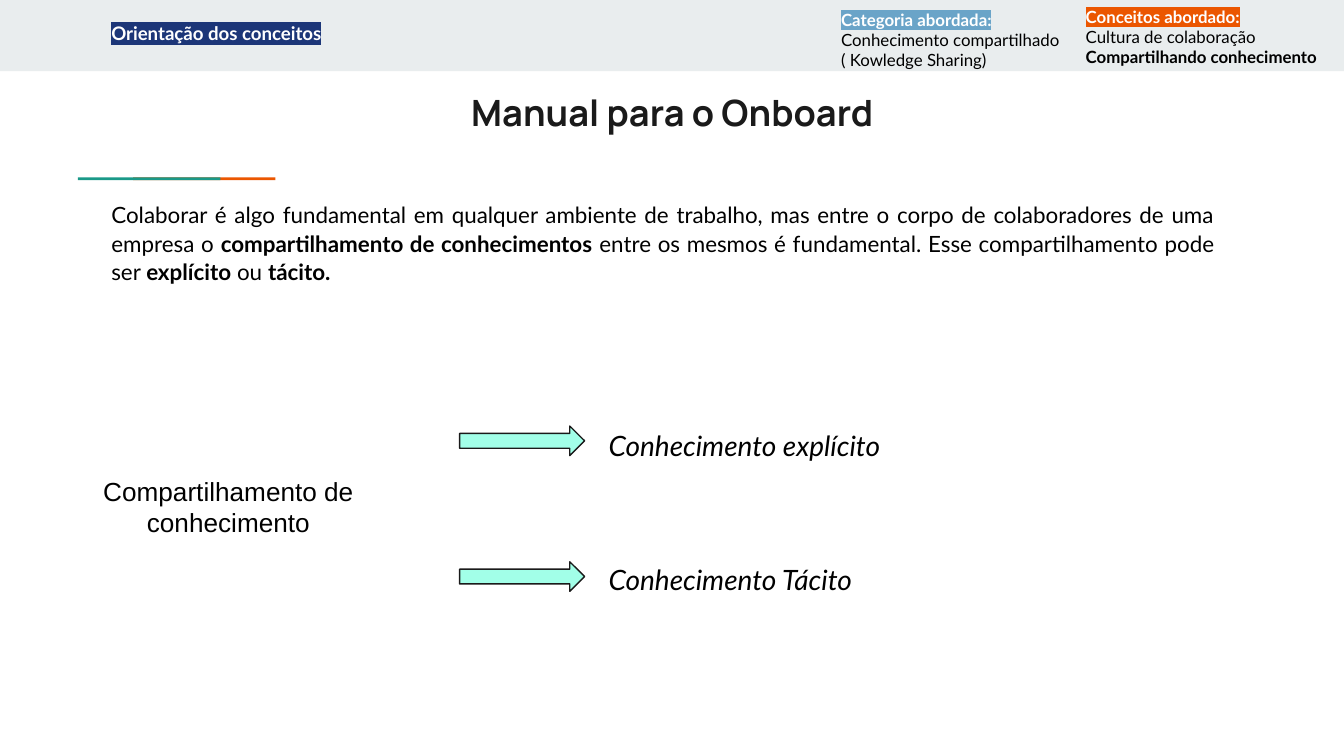
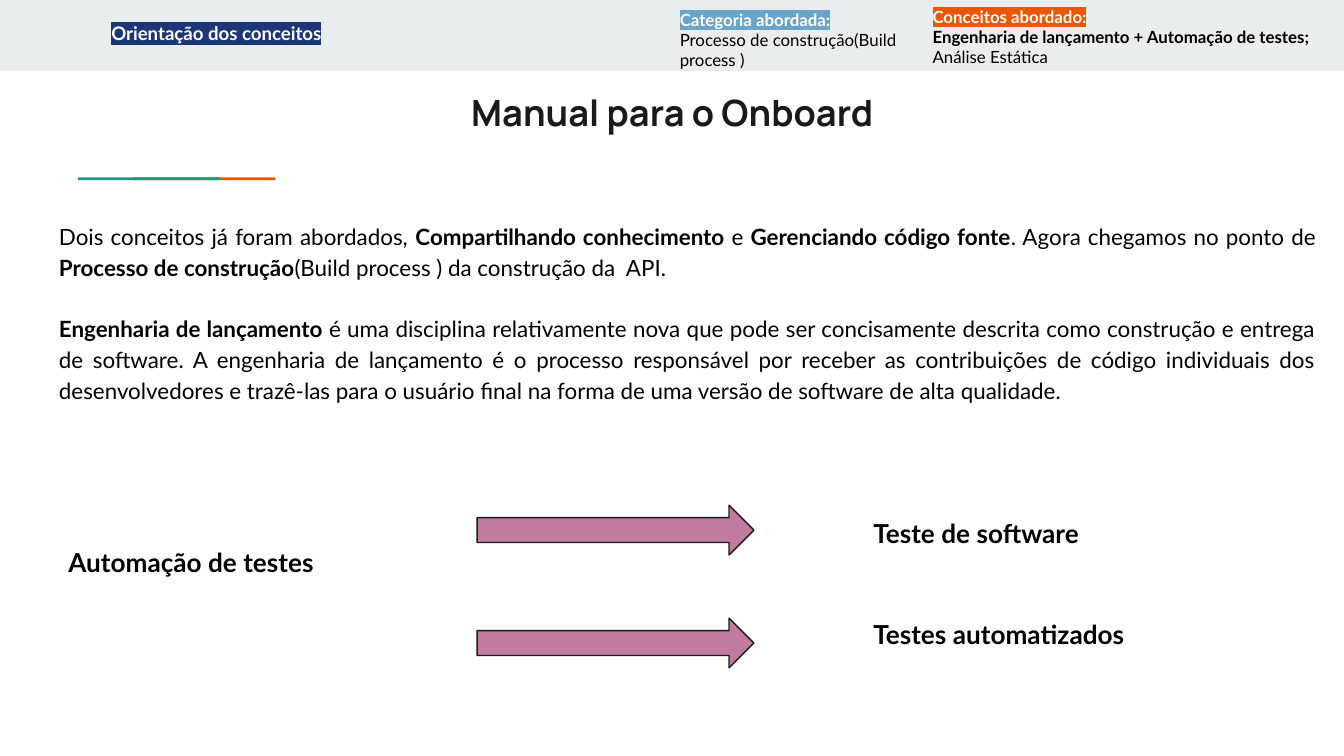
from lxml import etree
from pptx import Presentation
from pptx.dml.color import RGBColor
from pptx.enum.shapes import MSO_SHAPE
from pptx.enum.text import MSO_ANCHOR, PP_ALIGN
from pptx.oxml.ns import qn
from pptx.util import Inches, Pt

LEFT, CENTER, JUSTIFY = PP_ALIGN.LEFT, PP_ALIGN.CENTER, PP_ALIGN.JUSTIFY
TOP, MIDDLE = MSO_ANCHOR.TOP, MSO_ANCHOR.MIDDLE
RECTANGLE, RIGHT_ARROW = MSO_SHAPE.RECTANGLE, MSO_SHAPE.RIGHT_ARROW

BLACK, WHITE, INK = "000000", "FFFFFF", "1A1A1A"
BAND, TEAL, ORANGE = "E9EDEE", "1A9988", "EB5600"
NAVY, SKY, MINT, MAUVE = "1C3678", "6AA4C8", "A2FFE8", "C27BA0"
BOLD_MARK = "**"


def color(value):
    return RGBColor.from_string(value)


def add_box(slide, kind, left, top, width, height, fill, line=None):
    shape = slide.shapes.add_shape(
        kind, Inches(left), Inches(top), Inches(width), Inches(height))
    shape.shadow.inherit = False
    shape.fill.solid()
    shape.fill.fore_color.rgb = color(fill)
    if line:
        shape.line.color.rgb = color(line)
        shape.line.width = Pt(0.75)
    else:
        shape.line.fill.background()


def highlight_run(run, value):
    highlight = etree.Element(qn("a:highlight"))
    etree.SubElement(highlight, qn("a:srgbClr")).set("val", value)
    run.font._element.find(qn("a:solidFill")).addnext(highlight)


def write_text(paragraph, text, size=12, font="Lato", ink=BLACK, bold=False,
               italic=False, highlight=None, align=LEFT, spacing=1, before=0):
    paragraph.alignment = align
    paragraph.line_spacing = spacing
    paragraph.space_before = Pt(before)
    for index, part in enumerate(text.split(BOLD_MARK)):
        if not part:
            continue
        run = paragraph.add_run()
        run.text = part
        run.font.size = Pt(size)
        run.font.name = font
        run.font.color.rgb = color(ink)
        run.font.bold = bold or index % 2 == 1
        run.font.italic = italic
        if highlight:
            highlight_run(run, highlight)


def add_frame(slide, left, top, width, height, anchor=TOP):
    box = slide.shapes.add_textbox(
        Inches(left), Inches(top), Inches(width), Inches(height))
    frame = box.text_frame
    frame.word_wrap = True
    frame.vertical_anchor = anchor
    frame.margin_left = frame.margin_right = Inches(0.1)
    frame.margin_top = frame.margin_bottom = Inches(0.1)
    return frame


def add_text(slide, area, text, anchor=TOP, **text_format):
    frame = add_frame(slide, *area, anchor=anchor)
    write_text(frame.paragraphs[0], text, **text_format)
    return frame


def add_tag(slide, area, label, highlight, lines):
    frame = add_text(slide, area, label, size=9, ink=WHITE, bold=True,
                     highlight=highlight)
    for line in lines:
        write_text(frame.add_paragraph(), line, size=9)


def add_arrows(slide, left, tops, width, height, fill):
    for top in tops:
        add_box(slide, RIGHT_ARROW, left, top, width, height, fill, INK)


def add_page(presentation, category_area, category, concept_area, concepts):
    slide = presentation.slides.add_slide(presentation.slide_layouts[6])
    add_box(slide, RECTANGLE, 0, 0, 10, 0.53, BAND)
    add_box(slide, RECTANGLE, 0.99, 1.32, 1.06, 0.02, ORANGE)
    add_box(slide, RECTANGLE, 0.58, 1.32, 1.06, 0.02, TEAL)
    add_text(slide, (0.8, 0.57, 8.41, 0.59), "Manual para o Onboard",
             size=19.4, font="Manrope", ink=INK, bold=True, align=CENTER)
    add_text(slide, (0.73, 0.08, 3.28, 0.37), "Orientação dos conceitos",
             size=10, ink=WHITE, bold=True, highlight=NAVY)
    add_tag(slide, category_area, "Categoria abordada:", SKY, category)
    add_tag(slide, concept_area, "Conceitos abordado:", ORANGE, concepts)
    return slide


def build_sharing(presentation):
    slide = add_page(
        presentation,
        (6.16, -0.03, 1.82, 0.66),
        ["Conhecimento compartilhado ( Kowledge Sharing)"],
        (7.98, -0.05, 1.98, 0.66),
        ["Cultura de colaboração", "**Compartilhando conhecimento**"])
    add_text(
        slide, (0.73, 1.39, 8.41, 0.84),
        "Colaborar é algo fundamental em qualquer ambiente de trabalho, mas "
        "entre o corpo de colaboradores de uma empresa o "
        "**compartilhamento de conhecimentos** entre os mesmos é fundamental. "
        "Esse compartilhamento pode ser **explícito** ou **tácito.**",
        align=JUSTIFY, spacing=1.05)
    add_text(slide, (0.5, 3.06, 2.4, 1.42), "Compartilhamento de conhecimento",
             anchor=MIDDLE, size=14, font="Arial", align=CENTER)
    add_arrows(slide, 3.42, (3.17, 4.18), 0.93, 0.22, MINT)
    for top, kind in ((3.05, "explícito"), (4.05, "Tácito")):
        add_text(slide, (4.43, top, 3.28, 0.45), f"Conhecimento {kind}",
                 size=15, italic=True, align=JUSTIFY, spacing=1.15)


def build_release(presentation):
    slide = add_page(
        presentation,
        (4.96, -0.03, 1.94, 0.66),
        ["Processo de construção(Build process )"],
        (6.84, -0.05, 3.12, 0.66),
        ["**Engenharia de lançamento + Automação de testes;**",
         "Análise Estática"])
    body = add_text(
        slide, (0.34, 1.53, 9.55, 1.63),
        "Dois conceitos já foram abordados, **Compartilhando conhecimento **e "
        "**Gerenciando código fonte**. Agora chegamos no ponto de "
        "**Processo de construção**(Build process ) da construção da  API.",
        align=JUSTIFY, spacing=1.15)
    write_text(
        body.add_paragraph(),
        "**Engenharia de lançamento **é uma disciplina relativamente nova que "
        "pode ser concisamente descrita como construção e entrega de software. "
        "A engenharia de lançamento é o processo responsável por receber as "
        "contribuições de código individuais dos desenvolvedores e trazê-las "
        "para o usuário final na forma de uma versão de software de alta "
        "qualidade.",
        align=JUSTIFY, spacing=1.15, before=16.5)
    add_text(slide, (0.41, 3.35, 2.98, 1.63), "Automação de testes",
             anchor=MIDDLE, size=14, bold=True, align=JUSTIFY, spacing=1.15)
    add_arrows(slide, 3.55, (3.76, 4.6), 2.06, 0.37, MAUVE)
    for top, label in ((3.75, "Teste de software"),
                       (4.5, "Testes automatizados")):
        add_text(slide, (6.4, top, 2.23, 0.44), label,
                 anchor=MIDDLE, size=14, bold=True)


def main():
    presentation = Presentation()
    presentation.slide_width = Inches(10)
    presentation.slide_height = Inches(10) * 9 // 16
    build_sharing(presentation)
    build_release(presentation)
    presentation.save("out.pptx")


if __name__ == "__main__":
    main()
